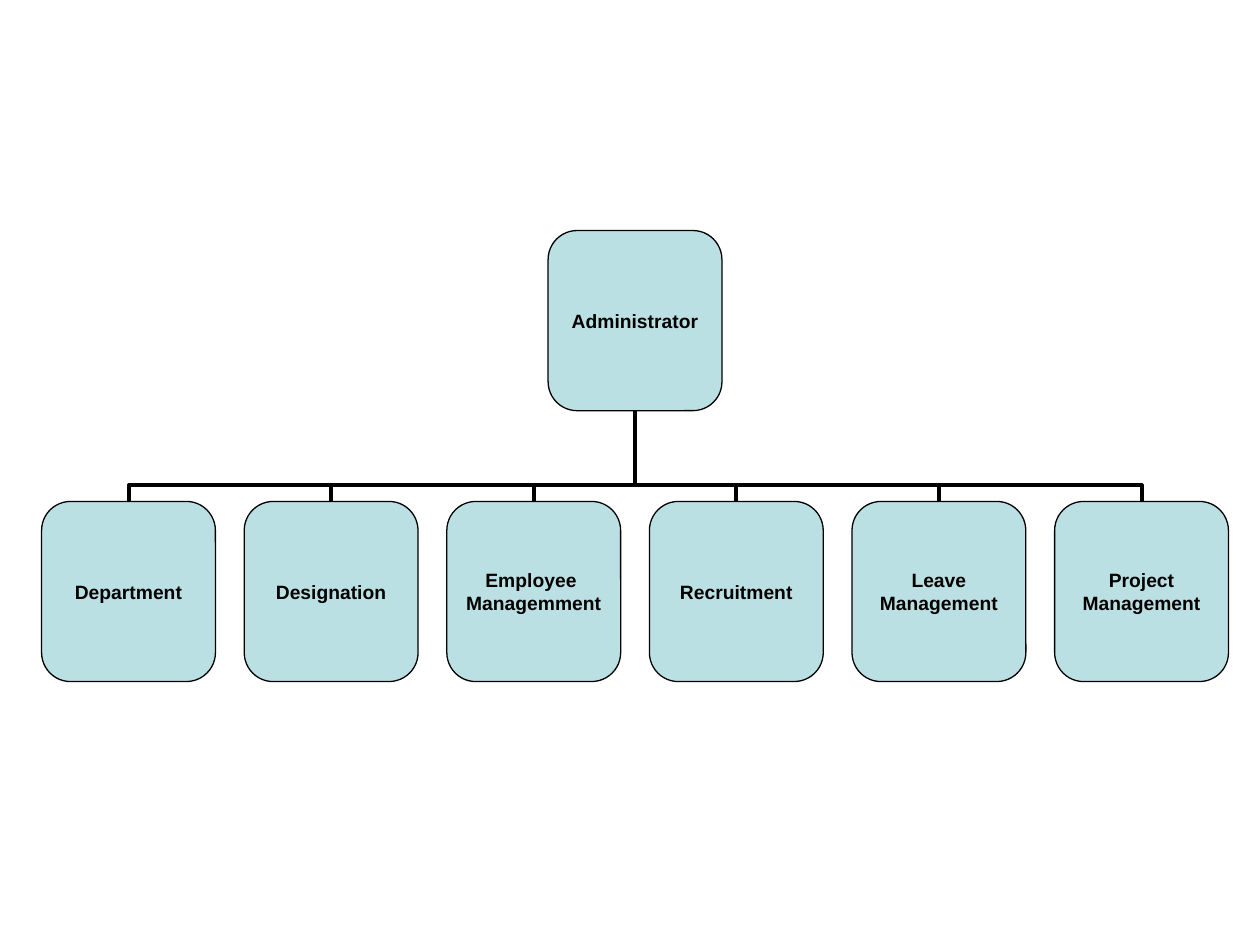
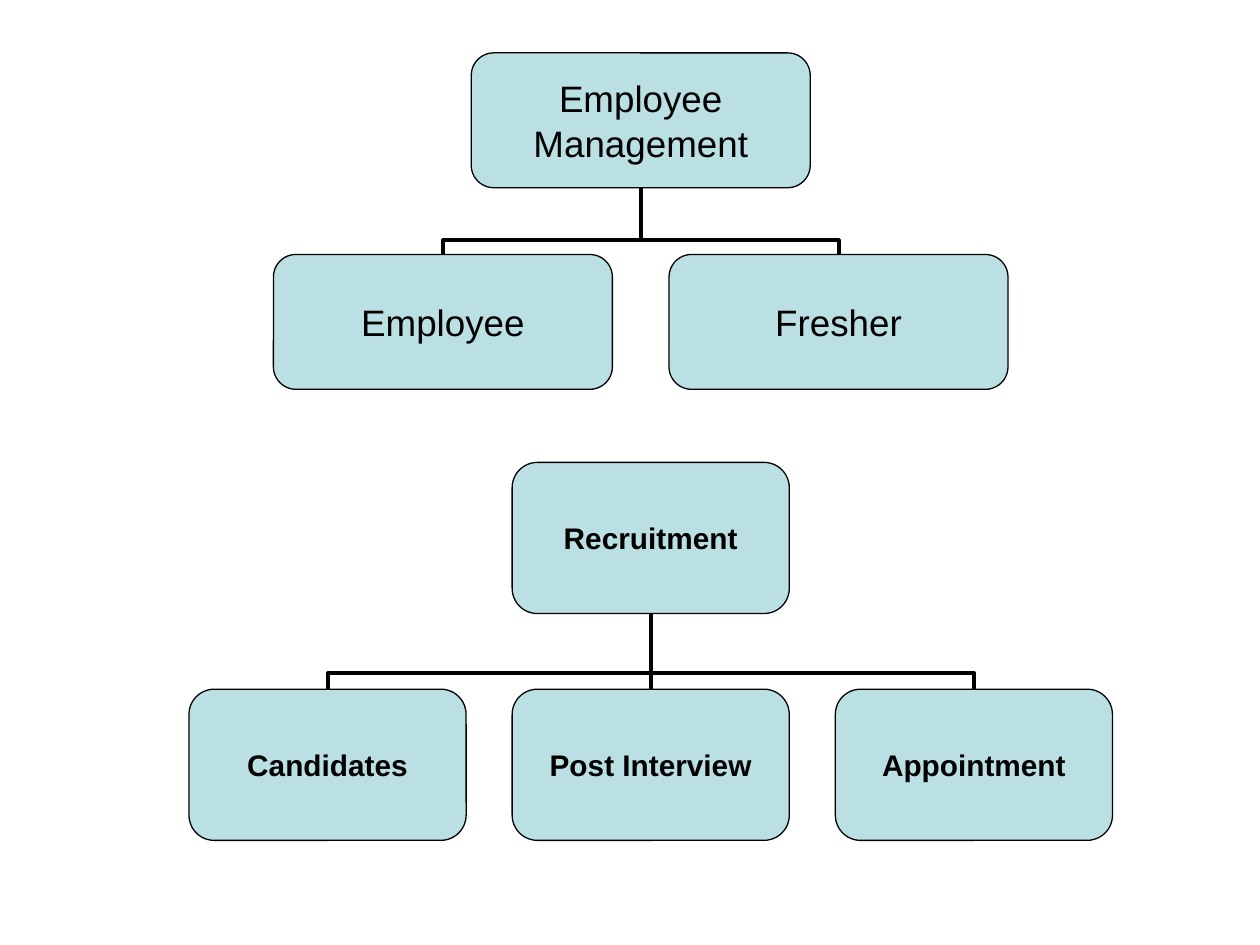
"""Build two slides of organisation charts for an employee management system."""
from dataclasses import dataclass

from lxml import etree
from pptx import Presentation
from pptx.dml.color import RGBColor
from pptx.enum.shapes import MSO_CONNECTOR, MSO_SHAPE
from pptx.enum.text import MSO_ANCHOR, PP_ALIGN
from pptx.oxml.ns import qn
from pptx.util import Inches, Pt

ELBOW, STRAIGHT = MSO_CONNECTOR.ELBOW, MSO_CONNECTOR.STRAIGHT
ROUNDED = MSO_SHAPE.ROUNDED_RECTANGLE
MIDDLE, CENTER = MSO_ANCHOR.MIDDLE, PP_ALIGN.CENTER


@dataclass(frozen=True)
class Theme:
    fill: RGBColor = RGBColor.from_string("BBE0E3")
    ink: RGBColor = RGBColor.from_string("000000")
    font: str = "Arial"
    small: int = 11
    medium: int = 17
    large: int = 21
    outline: float = 0.75
    branch: float = 2.25
    corner: float = 0.167


theme = Theme()


def add_box(page, label, left, top, width, height, size, bold):
    box = page.shapes.add_shape(ROUNDED, Inches(left), Inches(top), Inches(width), Inches(height))
    box.adjustments[0] = theme.corner
    box.shadow.inherit = False
    box.fill.solid()
    box.fill.fore_color.rgb = theme.fill
    box.line.color.rgb = theme.ink
    box.line.width = Pt(theme.outline)
    frame = box.text_frame
    frame.margin_left = frame.margin_right = frame.margin_top = frame.margin_bottom = 0
    frame.word_wrap = False
    frame.vertical_anchor = MIDDLE
    frame.text = label
    for para in frame.paragraphs:
        para.alignment = CENTER
        para.font.name = theme.font
        para.font.size = Pt(size)
        para.font.bold = bold
        para.font.color.rgb = theme.ink


def add_branch(page, child_x, child_top, parent_x, parent_bottom, bend):
    span, rise = abs(child_x - parent_x), child_top - parent_bottom
    if span < 0.01:
        kind, ends = STRAIGHT, (child_x, child_top, parent_x, parent_bottom)
    else:
        side = 1 if child_x > parent_x else -1
        middle_x, middle_y = (child_x + parent_x) / 2, (child_top + parent_bottom) / 2
        kind, ends = ELBOW, (middle_x - side * rise / 2, middle_y + span / 2,
                             middle_x + side * rise / 2, middle_y - span / 2)
    branch = page.shapes.add_connector(kind, *(Inches(end) for end in ends))
    branch.line.color.rgb = theme.ink
    branch.line.width = Pt(theme.branch)
    properties = branch._element.spPr
    etree.SubElement(properties, qn("a:effectLst"))
    if kind == ELBOW:
        properties.find(qn("a:xfrm")).set("rot", str((180 + side * 90) * 60000))
        guides = properties.find(qn("a:prstGeom")).find(qn("a:avLst"))
        etree.SubElement(guides, qn("a:gd"), name="adj1", fmla=f"val {round(bend * 100000)}")


slides = [
    [
        dict(parent="Administrator",
             children=["Department", "Designation", "Employee \nManagemment", "Recruitment",
                       "Leave\nManagement", "Project\nManagement"],
             first_left=0.33, last_left=8.37, parent_top=1.83, child_top=3.98,
             width=1.38, height=1.43, bend=0.18, size=theme.small, bold=True),
    ],
    [
        dict(parent="Employee\nManagement", children=["Employee", "Fresher"],
             first_left=2.17, last_left=5.31, parent_top=0.42, child_top=2.02,
             width=2.69, height=1.07, bend=0.21, size=theme.large, bold=False),
        dict(parent="Recruitment", children=["Candidates", "Post Interview", "Appointment"],
             first_left=1.5, last_left=6.63, parent_top=3.67, child_top=5.47,
             width=2.2, height=1.2, bend=0.21, size=theme.medium, bold=True),
    ],
]

deck = Presentation()
deck.slide_width, deck.slide_height = Inches(10), Inches(7.5)

for charts in slides:
    page = deck.slides.add_slide(deck.slide_layouts[6])
    for chart in charts:
        width, height = chart["width"], chart["height"]
        children, child_top = chart["children"], chart["child_top"]
        style = (width, height, chart["size"], chart["bold"])
        pitch = (chart["last_left"] - chart["first_left"]) / (len(children) - 1)
        child_lefts = [chart["first_left"] + column * pitch for column in range(len(children))]
        parent_left = (chart["first_left"] + chart["last_left"]) / 2
        parent_bottom = chart["parent_top"] + height
        for left in reversed(child_lefts):
            add_branch(page, left + width / 2, child_top,
                       parent_left + width / 2, parent_bottom, chart["bend"])
        add_box(page, chart["parent"], parent_left, chart["parent_top"], *style)
        for label, left in zip(children, child_lefts):
            add_box(page, label, left, child_top, *style)

deck.save("out.pptx")
